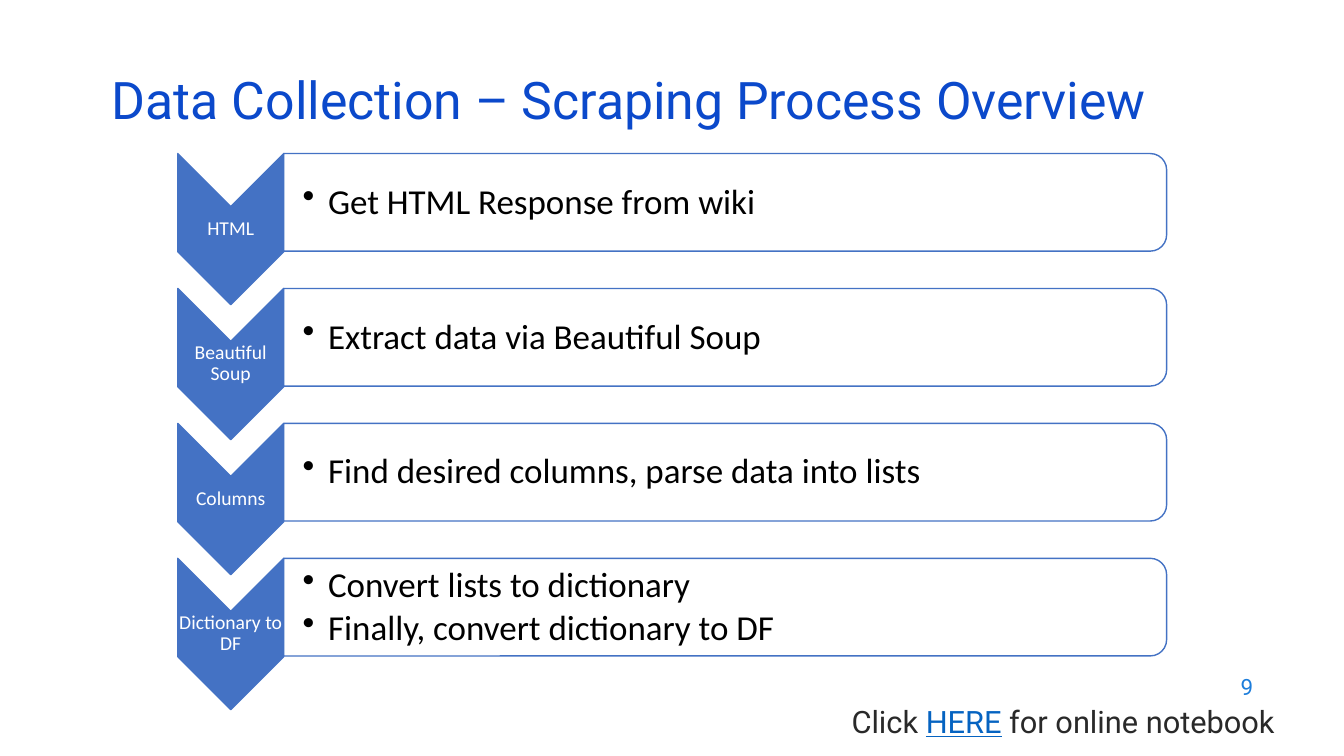
"""Build the slide that outlines the scraping process in four steps."""
from lxml import etree
from pptx import Presentation
from pptx.dml.color import RGBColor
from pptx.enum.shapes import MSO_SHAPE
from pptx.enum.text import MSO_ANCHOR, PP_ALIGN
from pptx.oxml.ns import qn
from pptx.util import Cm, Pt

CHEVRON, BAR = MSO_SHAPE.CHEVRON, MSO_SHAPE.ROUND_2_SAME_RECTANGLE
TOP, MIDDLE = MSO_ANCHOR.TOP, MSO_ANCHOR.MIDDLE
LEFT, CENTER, RIGHT = PP_ALIGN.LEFT, PP_ALIGN.CENTER, PP_ALIGN.RIGHT
TITLE_ONLY = 5

COLORS = {
    "title": "0B49CB",
    "number": "1C7DDB",
    "note": "292929",
    "link": "0563C1",
    "accent": "4472C4",
    "white": "FFFFFF",
    "black": "000000",
}

TITLE = "Data Collection – Scraping Process Overview"
PAGE_NUMBER = "9"
NOTE = [("Click ", "note", False), ("HERE", "link", True), (" for online notebook", "note", False)]
STEPS = [
    ("HTML", ["Get HTML Response from wiki"]),
    ("Beautiful Soup", ["Extract data via Beautiful Soup"]),
    ("Columns", ["Find desired columns, parse data into lists"]),
    ("Dictionary to DF", ["Convert lists to dictionary", "Finally, convert dictionary to DF"]),
]

STEP_LEFT, STEP_TOP, STEP_PITCH = 4.48, 3.87, 3.4
CHEVRON_WIDTH, CHEVRON_HEIGHT = 2.67, 3.81
BAR_WIDTH, BAR_HEIGHT = 22.25, 2.46
LABEL_OFFSET, LABEL_HEIGHT = 1.33, 1.14
LIST_OFFSET, LIST_WIDTH, LIST_HEIGHT = 0.12, 22.12, 2.24


def write_text(shape, paragraphs, *, size, color, font="Roboto", align=LEFT, anchor=MIDDLE,
               insets=(0.25, 0.13, 0.25, 0.13), spacing=1.0, after=0, bullet=False):
    """Fill a shape with paragraphs, each a string or a list of (text, color, underline)."""
    frame = shape.text_frame
    frame.word_wrap = True
    frame.vertical_anchor = anchor
    frame.margin_left, frame.margin_top, frame.margin_right, frame.margin_bottom = map(Cm, insets)
    for index, content in enumerate(paragraphs):
        paragraph = frame.paragraphs[0] if index == 0 else frame.add_paragraph()
        paragraph.alignment = align
        paragraph.line_spacing = spacing
        paragraph.space_after = Pt(after)
        if bullet:
            properties = paragraph._p.get_or_add_pPr()
            properties.set("marL", str(Cm(0.64)))
            properties.set("indent", str(-Cm(0.64)))
            etree.SubElement(properties, qn("a:buChar")).set("char", "•")
        runs = [(content, color, False)] if isinstance(content, str) else content
        for text, run_color, underline in runs:
            run = paragraph.add_run()
            run.text = text
            run.font.name = font
            run.font.size = Pt(size)
            run.font.underline = underline
            run.font.color.rgb = RGBColor.from_string(COLORS[run_color])


def add_text(slide, left, top, width, height, paragraphs, **text_format):
    """Add a text box, measured in centimetres."""
    box = slide.shapes.add_textbox(Cm(left), Cm(top), Cm(width), Cm(height))
    write_text(box, paragraphs, **text_format)


def add_turned_shape(slide, kind, left, top, width, height, fill, opacity=100):
    """Add a shape turned by 90 degrees that covers the given area."""
    shift = (width - height) / 2
    shape = slide.shapes.add_shape(kind, Cm(left + shift), Cm(top - shift), Cm(height), Cm(width))
    shape.rotation = 90
    shape.shadow.inherit = False
    shape.fill.solid()
    shape.fill.fore_color.rgb = RGBColor.from_string(COLORS[fill])
    if opacity < 100:
        color = shape.fill._xPr.find(qn("a:solidFill"))[0]
        etree.SubElement(color, qn("a:alpha")).set("val", str(opacity * 1000))
    shape.line.color.rgb = RGBColor.from_string(COLORS["accent"])
    shape.line.width = Pt(1)


def add_step(slide, top, label, items):
    """Add one chevron with its label and the bar with its list."""
    bar_left = STEP_LEFT + CHEVRON_WIDTH
    add_turned_shape(slide, CHEVRON, STEP_LEFT, top, CHEVRON_WIDTH, CHEVRON_HEIGHT, "accent")
    add_text(slide, STEP_LEFT, top + LABEL_OFFSET, CHEVRON_WIDTH, LABEL_HEIGHT, [label],
             size=14, color="white", font="Calibri", align=CENTER,
             insets=(0.02, 0.02, 0.02, 0.02), spacing=0.9, after=4.9)
    add_turned_shape(slide, BAR, bar_left, top, BAR_WIDTH, BAR_HEIGHT, "white", opacity=90)
    add_text(slide, bar_left, top + LIST_OFFSET, LIST_WIDTH, LIST_HEIGHT, items,
             size=25, color="black", font="Calibri", insets=(0.48, 0.04, 0.04, 0.04),
             spacing=0.9, after=3.75, bullet=True)


def main():
    """Create the presentation and save it."""
    presentation = Presentation()
    presentation.slide_width, presentation.slide_height = Cm(33.87), Cm(19.05)
    slide = presentation.slides.add_slide(presentation.slide_layouts[TITLE_ONLY])

    title = slide.shapes.title
    title.left, title.top, title.width, title.height = Cm(2.57), Cm(1.93), Cm(29.21), Cm(1.52)
    write_text(title, [TITLE], size=37, color="title", spacing=0.7)

    add_text(slide, 24.21, 16.74, 7.62, 1.12, [PAGE_NUMBER], size=16, color="number", align=RIGHT)
    add_text(slide, 21.21, 17.58, 12.95, 1.55, [NOTE], size=22, color="note", anchor=TOP)

    for index, (label, items) in enumerate(STEPS):
        add_step(slide, STEP_TOP + index * STEP_PITCH, label, items)

    presentation.save("out.pptx")


if __name__ == "__main__":
    main()
